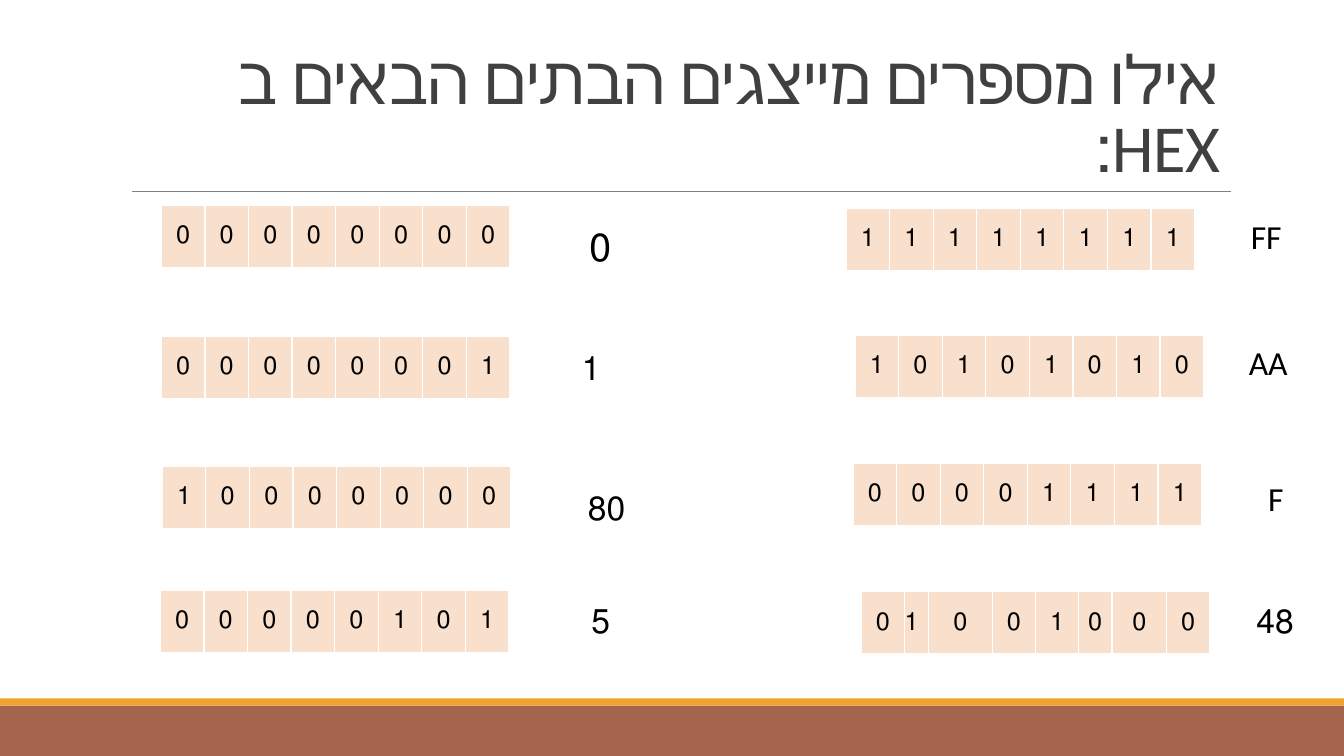
"""Build a slide that asks which hexadecimal numbers the given bytes represent."""
from lxml.etree import SubElement
from pptx import Presentation
from pptx.dml.color import RGBColor
from pptx.enum.shapes import MSO_CONNECTOR, MSO_SHAPE
from pptx.enum.text import MSO_ANCHOR, MSO_AUTO_SIZE, PP_ALIGN
from pptx.oxml.ns import qn
from pptx.util import Emu, Pt

BYTE_WIDTH, BYTE_HEIGHT = 346, 61
BYTES = [
    (160, 204, "00000000", None),
    (160, 334, "00000001", None),
    (161, 463, "10000000", None),
    (159, 586, "00000101", None),
    (846, 460, "00001111", None),
    (854, 587, "01001000", (43, 24, 63, 43, 43, 33, 54, 43)),
    (848, 333, "10101010", None),
    (839, 207, "11111111", None),
]
ANSWERS = [
    (542, 590, 73, "5", {}),
    (543, 216, 73, "0", {"size": 28}),
    (548, 478, 82, "80", {}),
    (1210, 469, 73, "F", {}),
    (1214, 334, 73, "AA", {}),
    (1220, 590, 73, "48", {}),
    (550, 339, 73, "1", {"align": PP_ALIGN.CENTER}),
    (1208, 209, 73, "FF", {}),
]


def px(*lengths):
    """Turn lengths at 100 px to the inch into EMU."""
    return [Emu(length * 9144) for length in lengths]


def color(hex_code):
    """Turn a hex string into a colour."""
    return RGBColor.from_string(hex_code)


def write(frame, text, size=24, ink="000000", align=PP_ALIGN.RIGHT,
          line_spacing=None, tracking=None):
    """Write one right-to-left paragraph into a text frame."""
    paragraph = frame.paragraphs[0]
    paragraph.alignment = align
    paragraph.line_spacing = line_spacing
    paragraph._p.get_or_add_pPr().set("rtl", "1")
    run = paragraph.add_run()
    run.text = text
    run.font.name = "Calibri"
    run.font.size = Pt(size)
    run.font.color.rgb = color(ink)
    if tracking is not None:
        run._r.get_or_add_rPr().set("spc", str(tracking))


def add_band(slide, top, height, fill):
    """Add a coloured band across the slide."""
    band = slide.shapes.add_shape(MSO_SHAPE.RECTANGLE, *px(0, top, 1333, height))
    band.shadow.inherit = False
    band.fill.solid()
    band.fill.fore_color.rgb = color(fill)
    band.line.fill.background()


def add_rule(slide, left, right, y):
    """Add the thin line under the title."""
    rule = slide.shapes.add_connector(MSO_CONNECTOR.STRAIGHT, *px(left, y, right, y))
    rule.line.color.rgb = color("808080")
    rule.line.width = Pt(0.5)
    SubElement(rule._element.spPr, qn("a:effectLst"))


def add_title(slide, text):
    """Place and fill the title."""
    title = slide.shapes.title
    title.left, title.top, title.width, title.height = px(120, 31, 1100, 159)
    frame = title.text_frame
    frame.word_wrap = True
    frame.auto_size = MSO_AUTO_SIZE.NONE
    frame.vertical_anchor = MSO_ANCHOR.BOTTOM
    write(frame, text, size=48, ink="404040", line_spacing=0.85, tracking=-50)


def add_borders(cell):
    """Give a cell white borders on all sides."""
    properties = cell._tc.get_or_add_tcPr()
    for side in ("lnL", "lnR", "lnT", "lnB"):
        border = SubElement(properties, qn(f"a:{side}"), w=str(Pt(1)))
        fill = SubElement(border, qn("a:solidFill"))
        SubElement(fill, qn("a:srgbClr"), val="FFFFFF")


def add_byte(slide, left, top, bits, widths):
    """Add a one-row table with a cell for each bit."""
    byte = slide.shapes.add_table(
        1, len(bits), *px(left, top, BYTE_WIDTH, BYTE_HEIGHT)).table
    byte.first_row = byte.horz_banding = False
    if widths:
        for column, width in zip(byte.columns, px(*widths)):
            column.width = width
    for cell, bit in zip(byte.iter_cells(), bits):
        add_borders(cell)
        cell.fill.solid()
        cell.fill.fore_color.rgb = color("F9E0CD")
        cell.vertical_anchor = MSO_ANCHOR.MIDDLE
        write(cell.text_frame, bit, size=18, align=PP_ALIGN.CENTER)


def add_answer(slide, left, top, width, text, style):
    """Add the hexadecimal value beside a byte."""
    height = 57 if "size" in style else 50
    frame = slide.shapes.add_textbox(*px(left, top, width, height)).text_frame
    frame.word_wrap = True
    frame.auto_size = MSO_AUTO_SIZE.SHAPE_TO_FIT_TEXT
    write(frame, text, **style)


def main():
    """Build and save the slide."""
    deck = Presentation()
    deck.slide_width, deck.slide_height = px(1333, 750)
    slide = deck.slides.add_slide(deck.slide_layouts[5])
    add_band(slide, 700, 50, "A5644E")
    add_band(slide, 693, 7, "F0A22E")
    add_rule(slide, 131, 1221, 190)
    add_title(slide, "אילו מספרים מייצגים הבתים הבאים ב HEX:")
    for byte in BYTES:
        add_byte(slide, *byte)
    for answer in ANSWERS:
        add_answer(slide, *answer)
    deck.save("out.pptx")


if __name__ == "__main__":
    main()
